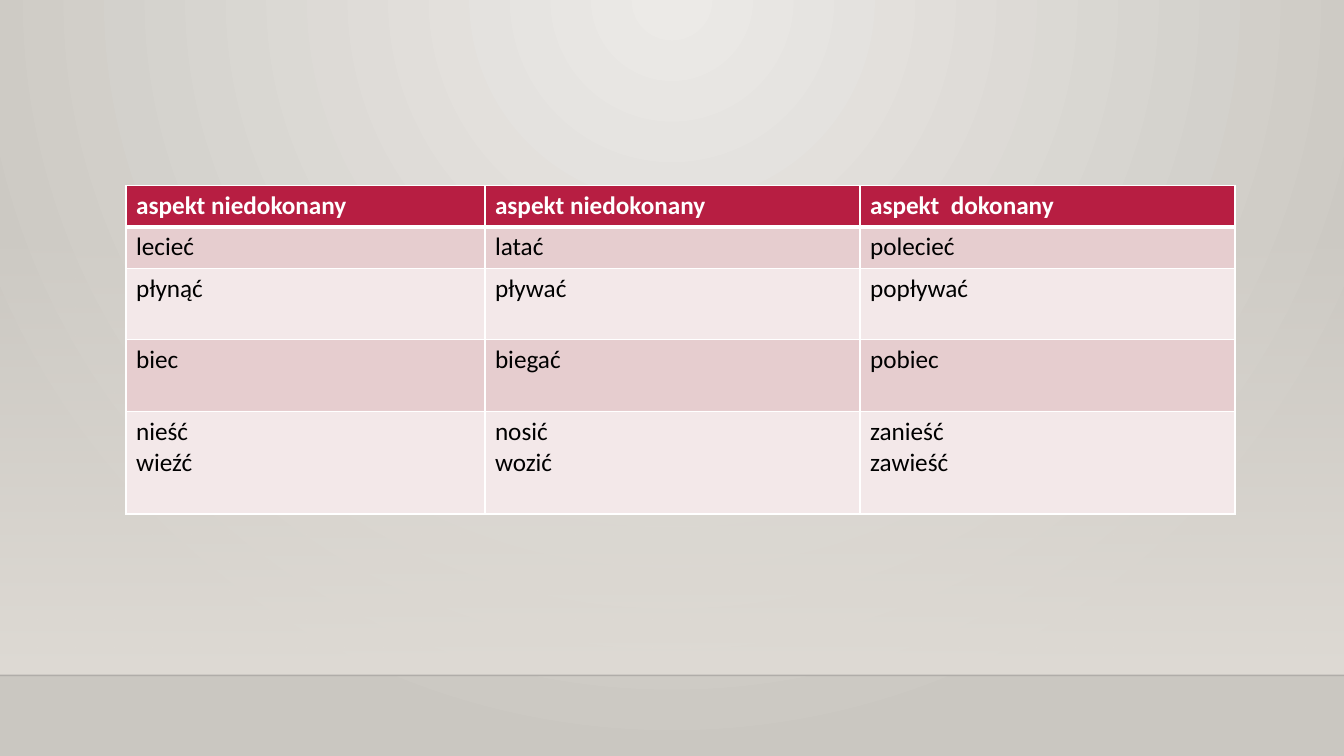
from lxml import etree
from pptx import Presentation
from pptx.dml.color import RGBColor
from pptx.enum.shapes import MSO_CONNECTOR, MSO_SHAPE
from pptx.oxml.ns import qn
from pptx.util import Inches, Pt

RECT, STRAIGHT = MSO_SHAPE.RECTANGLE, MSO_CONNECTOR.STRAIGHT
W, H = 13.33, 7.5
FLOOR_TOP = 6.7
COLORS = {
    "glow": "ECEAE7", "edge": "CAC7C1", "wall": "DFDBD5", "line": "000001",
    "header": "B71E42", "band": "E6CDCF", "plain": "F3E8E9",
    "white": "FFFFFF", "text": "000000",
}
COLUMNS = [3.56, 3.72, 3.72]
ROWS = [
    (0.41, ["aspekt niedokonany", "aspekt niedokonany", "aspekt  dokonany"]),
    (0.41, ["lecieć", "latać", "polecieć"]),
    (0.71, ["płynąć", "pływać", "popływać"]),
    (0.71, ["biec", "biegać", "pobiec"]),
    (1.02, ["nieść\nwieźć", "nosić\nwozić", "zanieść\nzawieść"]),
]


def rgb(name):
    return RGBColor.from_string(COLORS[name])


def sub(parent, tag, **attrs):
    return etree.SubElement(parent, qn(tag), {k: str(v) for k, v in attrs.items()})


def set_alpha(color, percent):
    sub(color, "a:alpha", val=percent * 1000)


def set_gradient(fill, owner, names):
    """Give fill two stops and return its XML element, without a direction."""
    fill.gradient()
    for stop, name in zip(fill.gradient_stops, names):
        stop.color.rgb = rgb(name)
    grad = owner.find(".//" + qn("a:gradFill"))
    grad.remove(grad.find(qn("a:lin")))
    return grad


def add_backdrop(s):
    grad = set_gradient(s.background.fill, s.element, ["glow", "edge"])
    circle = sub(grad, "a:path", path="circle")
    sub(circle, "a:fillToRect", l=43000, t=0, r=43000, b=100000)


def add_wall(s, x, y, w, h):
    wall = s.shapes.add_shape(RECT, Inches(x), Inches(y), Inches(w), Inches(h))
    wall.shadow.inherit = False
    wall.line.fill.background()
    grad = set_gradient(wall.fill, wall.element, ["wall", "wall"])
    set_alpha(grad.find(".//" + qn("a:srgbClr")), 0)
    sub(grad, "a:lin", ang=90 * 60000, scaled=0)

    bottom = Inches(y + h)
    edge = s.shapes.add_connector(STRAIGHT, Inches(x), bottom, Inches(x + w), bottom)
    edge.line.color.rgb = rgb("line")
    edge.line.width = Pt(1)
    set_alpha(edge.element.find(".//" + qn("a:srgbClr")), 20)
    sub(edge.element.spPr, "a:effectLst")


def set_text(tf, text, size=18, color="text", bold=False, font="Calibri"):
    tf.text = text
    for p in tf.paragraphs:
        for r in p.runs:
            r.font.size, r.font.bold, r.font.name = Pt(size), bold, font
            r.font.color.rgb = rgb(color)


def set_borders(cell, **widths):
    tc_pr = cell._tc.get_or_add_tcPr()
    for side in "LRTB":
        ln = sub(tc_pr, "a:ln" + side, w=Pt(widths.get(side, 1)))
        sub(sub(ln, "a:solidFill"), "a:srgbClr", val=COLORS["white"])


def add_verb_table(s, x, y):
    heights = [height for height, _ in ROWS]
    table = s.shapes.add_table(len(ROWS), len(COLUMNS), Inches(x), Inches(y),
                               Inches(sum(COLUMNS)), Inches(sum(heights))).table
    for column, width in zip(table.columns, COLUMNS):
        column.width = Inches(width)
    for i, (height, words) in enumerate(ROWS):
        table.rows[i].height = Inches(height)
        header = i == 0
        fill = "header" if header else ("plain", "band")[i % 2]
        for j, word in enumerate(words):
            cell = table.cell(i, j)
            set_borders(cell, B=3 if header else 1, T=3 if i == 1 else 1)
            cell.fill.solid()
            cell.fill.fore_color.rgb = rgb(fill)
            set_text(cell.text_frame, word, bold=header,
                     color="white" if header else "text")


def main():
    prs = Presentation()
    prs.slide_width, prs.slide_height = Inches(W), Inches(H)
    s = prs.slides.add_slide(prs.slide_layouts[6])
    add_backdrop(s)
    add_wall(s, 0, 2.21, W, FLOOR_TOP - 2.21)
    add_verb_table(s, 1.25, 1.84)
    prs.save("out.pptx")


if __name__ == "__main__":
    main()
